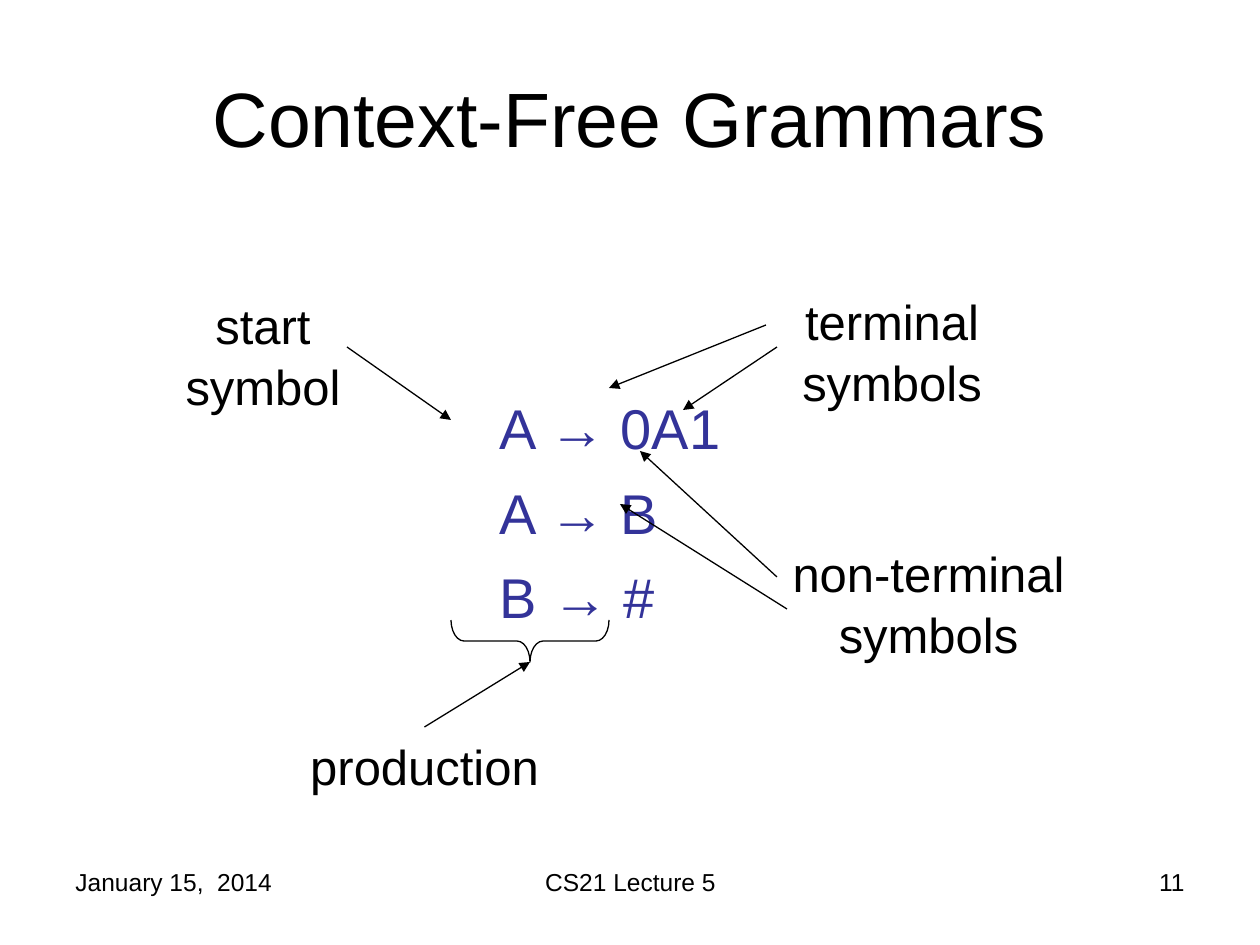
from lxml import etree
from pptx import Presentation, util as u
from pptx.dml.color import RGBColor
from pptx.enum import shapes, text
from pptx.oxml.ns import qn

EMU_PER_PX = 914400 / 126
COLORS = {"ink": "000000", "rule": "333399"}
LEFT, CENTER, RIGHT = text.PP_ALIGN.LEFT, text.PP_ALIGN.CENTER, text.PP_ALIGN.RIGHT
TOP, MIDDLE = text.MSO_ANCHOR.TOP, text.MSO_ANCHOR.MIDDLE


def px(*lengths):
    return [u.Emu(round(length * EMU_PER_PX)) for length in lengths]


def add_text(box, lines, size, align, color="ink", anchor=TOP, spacing=1.0, gap=0):
    holder = slide.shapes.add_textbox(*px(*box))
    frame = holder.text_frame
    frame.word_wrap = True
    frame.vertical_anchor = anchor
    for i, line in enumerate(lines):
        paragraph = frame.add_paragraph() if i else frame.paragraphs[0]
        paragraph.alignment = align
        paragraph.line_spacing = spacing
        if i:
            paragraph.space_before = u.Pt(gap)
        run = paragraph.add_run()
        run.text = line
        run.font.name = "Arial"
        run.font.size = u.Pt(size)
        run.font.color.rgb = RGBColor.from_string(COLORS[color])
    return holder


prs = Presentation()
prs.slide_width, prs.slide_height = px(1260, 945)
slide = prs.slides.add_slide(prs.slide_layouts[6])

# Footer
for left, width, words, align in [
    (63, 294, "January 15,  2014", LEFT),
    (431, 399, "CS21 Lecture 5", CENTER),
    (903, 294, "11", RIGHT),
]:
    add_text((left, 861, width, 66), [words], 14, align)

# Title
add_text((63, 38, 1134, 158), ["Context-Free Grammars"], 44, CENTER, anchor=MIDDLE)

# Grammar rules
add_text((487, 384, 400, 250), ["A → 0A1", "A → B", "B → #"], 32, LEFT,
         color="rule", spacing=1.05, gap=8)

# Labels for the parts of the grammar
labels = {}
for words, box in [
    ("start symbol", (158, 286, 210, 131)),
    ("terminal symbols", (787, 282, 210, 131)),
    ("non-terminal symbols", (766, 534, 325, 131)),
    ("production", (262, 727, 325, 72)),
]:
    labels[words] = add_text(box, [words], 28, CENTER, spacing=1.05)

# Brace under the last rule, opening upwards
brace = slide.shapes.add_shape(shapes.MSO_SHAPE.LEFT_BRACE, *px(509, 562, 42, 158))
brace.rotation = 270
brace.adjustments[0] = 0.31
brace.shadow.inherit = False
brace.fill.background()
brace.line.color.rgb = RGBColor.from_string(COLORS["ink"])
brace.line.width = u.Pt(0.75)

# Arrows from the labels to the symbols
for words, *ends in [
    ("start symbol", 347, 347, 451, 420),
    ("terminal symbols", 766, 325, 609, 388),
    ("terminal symbols", 777, 347, 683, 410),
    ("non-terminal symbols", 787, 609, 620, 504),
    ("non-terminal symbols", 777, 577, 640, 451),
    ("production", 425, 727, 530, 662),
]:
    arrow = slide.shapes.add_connector(shapes.MSO_CONNECTOR.STRAIGHT, *px(*ends))
    if words == "production":
        arrow.begin_connect(labels[words], 0)
    arrow.line.color.rgb = RGBColor.from_string(COLORS["ink"])
    arrow.line.width = u.Pt(0.75)
    etree.SubElement(arrow.line._get_or_add_ln(), qn("a:tailEnd"), type="triangle")
    etree.SubElement(arrow._element.spPr, qn("a:effectLst"))

prs.save("out.pptx")
